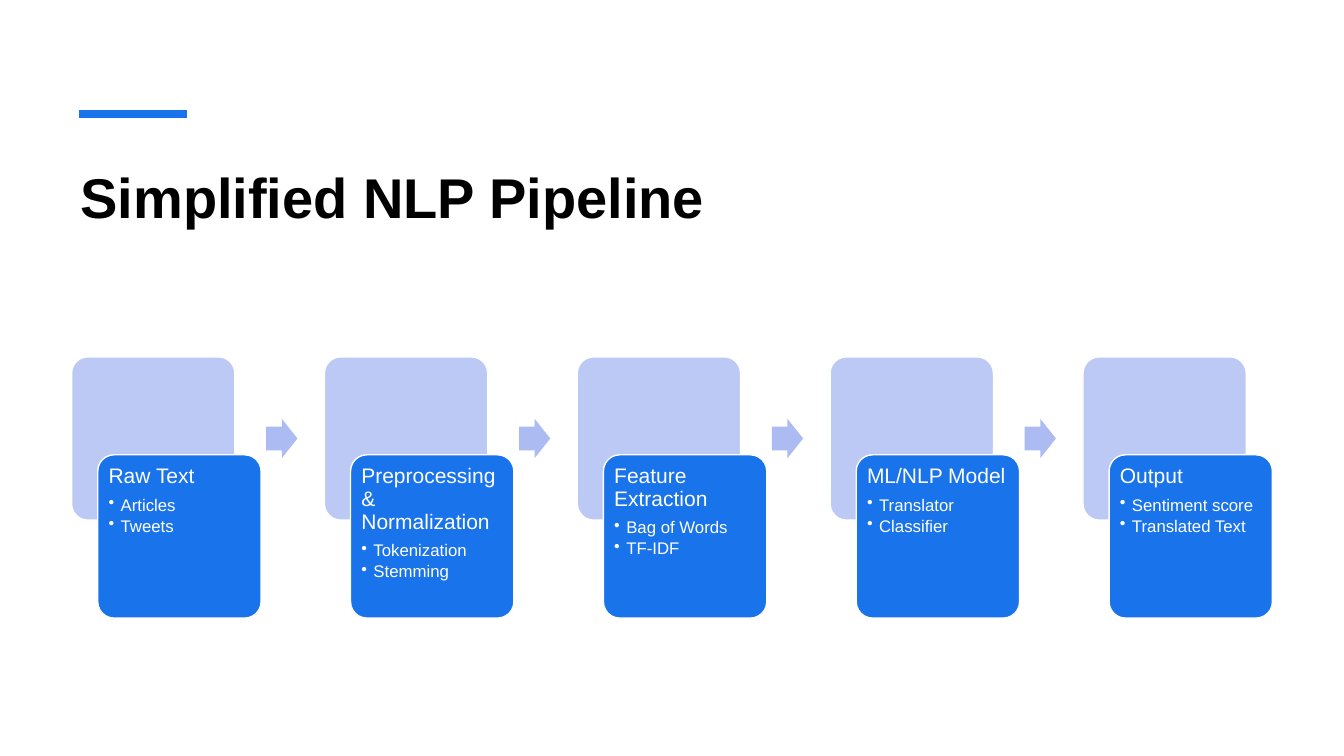
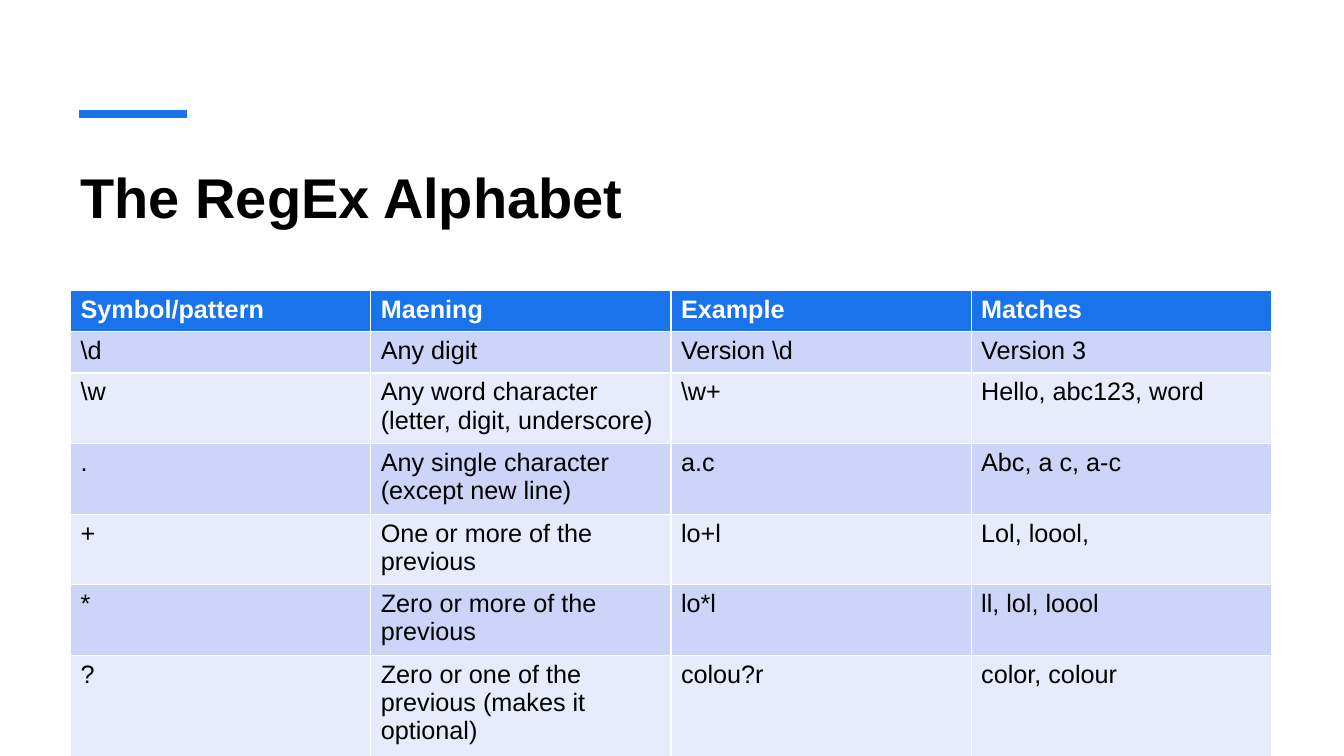
import pptx
import pptx.util
import pptx.dml.color
import pptx.enum.shapes
import pptx.enum.text
import pptx.oxml
import pptx.oxml.ns

Inches, Pt = pptx.util.Inches, pptx.util.Pt
SHAPE = pptx.enum.shapes.MSO_SHAPE

# Content
PIPELINE_TITLE = "Simplified NLP Pipeline"
STAGES = [
    ("Raw Text", ["Articles", "Tweets"]),
    ("Preprocessing & Normalization", ["Tokenization", "Stemming"]),
    ("Feature Extraction", ["Bag of Words", "TF-IDF"]),
    ("ML/NLP Model", ["Translator", "Classifier"]),
    ("Output", ["Sentiment score", "Translated Text"]),
]
REGEX_TITLE = "The RegEx Alphabet"
REGEX_ROWS = [
    ("Symbol/pattern", "Maening", "Example", "Matches"),
    (r"\d", "Any digit", r"Version \d", "Version 3"),
    (r"\w", "Any word character (letter, digit, underscore)", r"\w+",
     "Hello, abc123, word"),
    (".", "Any single character (except new line)", "a.c", "Abc, a c, a-c"),
    ("+", "One or more of the previous", "lo+l", "Lol, loool,"),
    ("*", "Zero or more of the previous", "lo*l", "ll, lol, loool"),
    ("?", "Zero or one of the previous (makes it optional)", "colou?r",
     "color, colour"),
]

# Shared look
FONT = "Arial"
COLORS = {
    "accent": "1973EB", "text": "000000", "white": "FFFFFF",
    "back": "BDC9F5", "arrow": "ACBCF3",
    "band_dark": "CCD5F7", "band_light": "E8EBFB",
}
SLIDE_W, SLIDE_H = 13.33, 7.5
LEFT, CONTENT_W = 0.7, 11.91


def rgb(name):
    return pptx.dml.color.RGBColor.from_string(COLORS[name])


def write(tf, text, size=18, color="text", bold=False, spacing=None,
          after=0, bullet=None, indent=0.12):
    """Add one formatted paragraph to a text frame."""
    p = tf.paragraphs[0] if not tf.text else tf.add_paragraph()
    p.alignment = pptx.enum.text.PP_ALIGN.LEFT
    p.space_after = Pt(after)
    if spacing:
        p.line_spacing = spacing
    if bullet:
        pPr = p._p.get_or_add_pPr()
        pPr.set("marL", str(Inches(indent)))
        pPr.set("indent", str(-Inches(indent)))
        bu = pptx.oxml.ns.qn("a:buChar")
        pPr.append(pPr.makeelement(bu, {"char": bullet}))
    r = p.add_run()
    r.text = text
    r.font.name, r.font.size, r.font.bold = FONT, Pt(size), bold
    r.font.color.rgb = rgb(color)


def set_margins(tf, left, top, right, bottom):
    tf.margin_left, tf.margin_top = Inches(left), Inches(top)
    tf.margin_right, tf.margin_bottom = Inches(right), Inches(bottom)
    tf.vertical_anchor = pptx.enum.text.MSO_ANCHOR.TOP
    tf.word_wrap = True


def add_box(s, kind, x, y, w, h, fill, adjust, line=None):
    sp = s.shapes.add_shape(kind, Inches(x), Inches(y), Inches(w), Inches(h))
    sp.shadow.inherit = False
    for i, value in enumerate(adjust):
        sp.adjustments[i] = value
    sp.fill.solid()
    sp.fill.fore_color.rgb = rgb(fill)
    if line:
        sp.line.color.rgb = rgb(line)
        sp.line.width = Pt(1)
    else:
        sp.line.fill.background()
    return sp


def new_slide(prs, title):
    """Blank slide with the accent bar and the title."""
    s = prs.slides.add_slide(prs.slide_layouts[6])
    bar = s.shapes.add_connector(
        pptx.enum.shapes.MSO_CONNECTOR.STRAIGHT,
        Inches(0.78), Inches(1.13), Inches(1.85), Inches(1.13))
    bar.line.color.rgb = rgb("accent")
    bar.line.width = Pt(6)
    spPr = bar._element.spPr
    spPr.append(spPr.makeelement(pptx.oxml.ns.qn("a:effectLst"), {}))
    tf = s.shapes.add_textbox(Inches(LEFT), Inches(1.5),
                              Inches(CONTENT_W), Inches(1.2)).text_frame
    set_margins(tf, 0.1, 0.11, 0.1, 0.05)
    write(tf, title, size=40, bold=True)
    return s


def pipeline_slide(prs):
    s = new_slide(prs, PIPELINE_TITLE)
    top, side = 3.54, 1.62
    shift_x, shift_y = 0.16 * side, 0.6 * side
    pitch = (CONTENT_W - side - shift_x) / (len(STAGES) - 1)
    arrow_w, arrow_h = 0.31, 0.39

    for i, (heading, items) in enumerate(STAGES):
        x = LEFT + 0.01 + i * pitch
        # Pale square behind, text card in front
        add_box(s, SHAPE.ROUNDED_RECTANGLE, x, top, side, side,
                "back", [0.1], "white")
        card = add_box(s, SHAPE.ROUNDED_RECTANGLE, x + shift_x, top + shift_y,
                       side, side, "accent", [0.1], "white")
        tf = card.text_frame
        set_margins(tf, 0.06, 0.06, 0.06, 0.06)
        write(tf, heading, size=15, color="white", spacing=0.9, after=6)
        for item in items:
            write(tf, item, size=12, color="white", spacing=0.9, after=2,
                  bullet="•")
        # Arrow to the next stage
        if i < len(STAGES) - 1:
            add_box(s, SHAPE.RIGHT_ARROW, x + side + arrow_w,
                    top + (side - arrow_h) / 2, arrow_w, arrow_h,
                    "arrow", [0.6, 0.5])


def regex_slide(prs):
    s = new_slide(prs, REGEX_TITLE)
    n_rows, n_cols, row_h = len(REGEX_ROWS), len(REGEX_ROWS[0]), 0.41
    table = s.shapes.add_table(
        n_rows, n_cols, Inches(LEFT), Inches(2.88),
        Inches(CONTENT_W), Inches(n_rows * row_h)).table
    for i, row in enumerate(REGEX_ROWS):
        header = i == 0
        band = "band_dark" if i % 2 else "band_light"
        for j, text in enumerate(row):
            cell = table.cell(i, j)
            cell.fill.solid()
            cell.fill.fore_color.rgb = rgb("accent" if header else band)
            write(cell.text_frame, text, bold=header,
                  color="white" if header else "text")


def main():
    prs = pptx.Presentation()
    prs.slide_width, prs.slide_height = Inches(SLIDE_W), Inches(SLIDE_H)
    pipeline_slide(prs)
    regex_slide(prs)
    prs.save("out.pptx")


if __name__ == "__main__":
    main()
